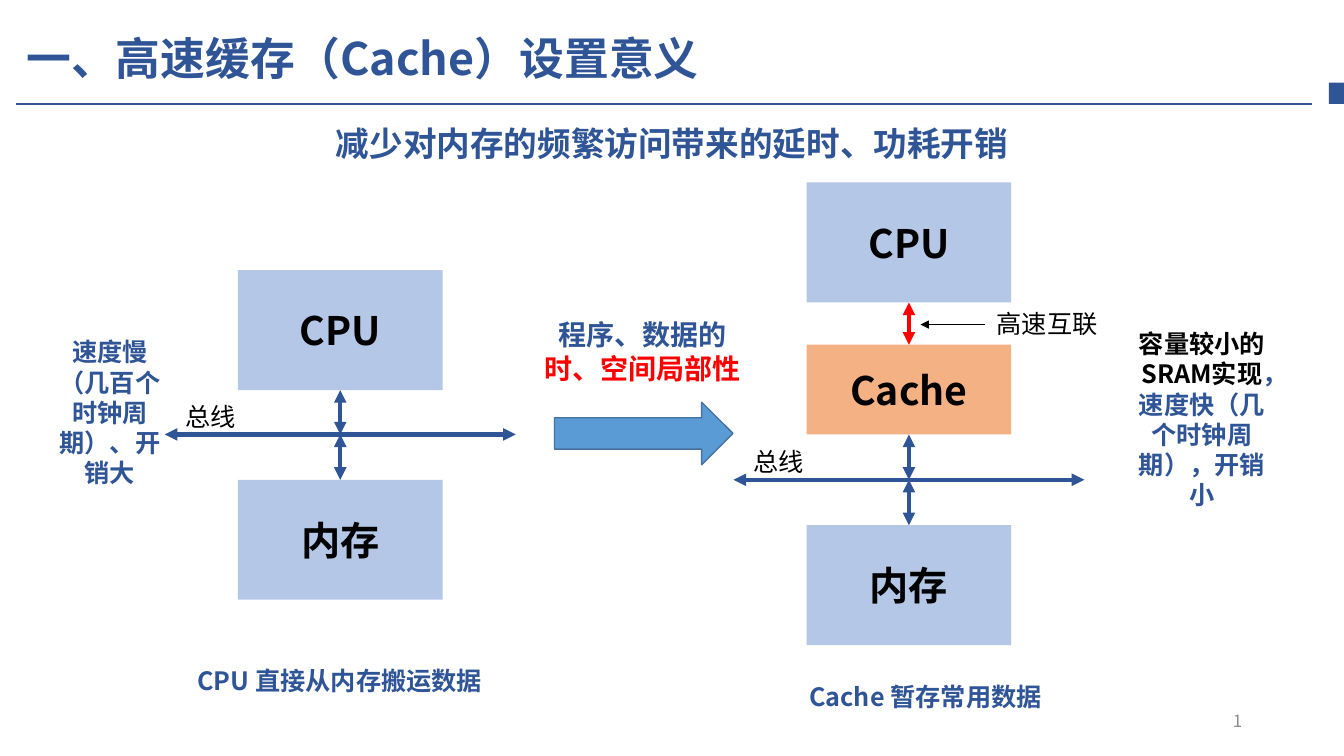
from lxml import etree
from pptx import Presentation
from pptx.dml.color import RGBColor
from pptx.enum.shapes import MSO_CONNECTOR, MSO_SHAPE
from pptx.enum.text import MSO_ANCHOR, MSO_AUTO_SIZE, PP_ALIGN
from pptx.oxml.ns import qn
from pptx.util import Inches, Pt

RECT, ARROW = MSO_SHAPE.RECTANGLE, MSO_SHAPE.RIGHT_ARROW
STRAIGHT = MSO_CONNECTOR.STRAIGHT
LEFT, CENTER, RIGHT = PP_ALIGN.LEFT, PP_ALIGN.CENTER, PP_ALIGN.RIGHT
TOP, MIDDLE = MSO_ANCHOR.TOP, MSO_ANCHOR.MIDDLE
NO_FIT = MSO_AUTO_SIZE.NONE
FONT = "Noto Sans CJK SC"
NAVY, PALE, ORANGE = "2F5597", "B4C7E7", "F4B183"
BLACK, RED, GRAY = "000000", "FF0000", "8C8C8C"
BOX_W, BOX_H = 2.03, 1.19


def paint(target, color):
    """Set a solid colour on a fill."""
    target.solid()
    target.fore_color.rgb = RGBColor.from_string(color)


def write(frame, paras, size, bold=True, align=CENTER, anchor=TOP):
    """Fill a text frame with paragraphs of (text, colour) runs."""
    frame.word_wrap = True
    frame.auto_size = NO_FIT
    frame.vertical_anchor = anchor
    for i, runs in enumerate(paras):
        para = frame.add_paragraph() if i else frame.paragraphs[0]
        para.alignment = align
        for text, color in runs:
            run = para.add_run()
            run.text = text
            font = run.font
            font.size, font.bold, font.name = Pt(size), bold, FONT
            paint(font.fill, color)
            etree.SubElement(font._element, qn("a:ea"), typeface=FONT)


def label(slide, at, paras, size=18, **style):
    """Add a text box."""
    box = slide.shapes.add_textbox(*map(Inches, at))
    write(box.text_frame, paras, size, **style)


def block(slide, at, color, text=None, kind=RECT, edge=None):
    """Add a filled shape with an optional caption and edge."""
    shape = slide.shapes.add_shape(kind, *map(Inches, at))
    shape.shadow.inherit = False
    paint(shape.fill, color)
    if edge:
        paint(shape.line.fill, edge)
        shape.line.width = Pt(1)
    else:
        shape.line.fill.background()
    if text:
        write(shape.text_frame, [[(text, BLACK)]], 28, anchor=MIDDLE)
    return shape


def link(slide, start, end, color=NAVY, width=3, heads=("head", "tail"),
         above=None, below=None):
    """Add a straight line, joined to the blocks above and below it."""
    line = slide.shapes.add_connector(STRAIGHT, *map(Inches, start + end))
    if above is not None:
        line.begin_connect(above, 2)
    if below is not None:
        line.end_connect(below, 0)
    paint(line.line.fill, color)
    line.line.width = Pt(width)
    for head in heads:
        etree.SubElement(line.line._get_or_add_ln(), qn(f"a:{head}End"),
                         type="triangle")
    etree.SubElement(line._element.spPr, qn("a:effectLst"))


def bus(slide, left, y, upper):
    """Add a bus with the memory below it, tied to the upper block."""
    mid = left + BOX_W / 2
    link(slide, (mid - 1.74, y), (mid + 1.74, y))
    memory = block(slide, (left, y + 0.45, BOX_W, BOX_H), PALE, "内存")
    link(slide, (mid, y - 0.45), (mid, y), above=upper)
    link(slide, (mid, y), (mid, y + 0.45), below=memory)
    label(slide, (mid - 1.88, y - 0.38, 1.18, 0.4), [[("总线", BLACK)]],
          bold=False)


def header(slide):
    """Add the title, its rule, the page mark and the subtitle."""
    title = slide.shapes.title
    title.left, title.top, title.width, title.height = map(
        Inches, (0.16, 0.25, 9.28, 0.64))
    write(title.text_frame, [[("一、高速缓存（Cache）设置意义", NAVY)]], 32,
          align=LEFT)
    link(slide, (0.16, 1.03), (13.01, 1.03), width=1.5, heads=())
    block(slide, (13.18, 0.82, 0.15, 0.21), NAVY)
    label(slide, (9.42, 6.95, 3, 0.4), [[("1", GRAY)]], 12, bold=False,
          align=RIGHT, anchor=MIDDLE)
    label(slide, (0.16, 1.17, 13.01, 0.5),
          [[("减少对内存的频繁访问带来的延时、功耗开销", NAVY)]], 24)


def direct(slide):
    """Draw the system without a cache."""
    cpu = block(slide, (2.36, 2.68, BOX_W, BOX_H), PALE, "CPU")
    bus(slide, 2.36, 4.31, cpu)
    label(slide, (0.4, 3.29, 1.38, 1.62),
          [[("速度慢（几百个时钟周期）、开销大", NAVY)]])
    label(slide, (1.8, 6.55, 3.14, 0.4), [[("CPU 直接从内存搬运数据", NAVY)]])


def cached(slide):
    """Draw the system with a cache."""
    cpu = block(slide, (8, 1.81, BOX_W, BOX_H), PALE, "CPU")
    cache = block(slide, (8, 3.42, BOX_W, 0.89), ORANGE, "Cache")
    link(slide, (9.02, 3), (9.02, 3.42), RED, above=cpu, below=cache)
    bus(slide, 8, 4.76, cache)
    label(slide, (9.65, 3.01, 1.47, 0.4), [[("高速互联", BLACK)]], bold=False)
    link(slide, (9.77, 3.22), (9.13, 3.22), BLACK, 0.5, ("tail",))
    label(slide, (11.12, 3.21, 1.6, 1.92),
          [[("容量较小的SRAM实现", BLACK),
            ("，速度快（几个时钟周期），开销小", NAVY)]])
    label(slide, (7.61, 6.71, 3.14, 0.4), [[("Cache 暂存常用数据", NAVY)]])


def main():
    """Build and save the slide."""
    deck = Presentation()
    deck.slide_width, deck.slide_height = Inches(13.33), Inches(7.5)
    slide = deck.slides.add_slide(deck.slide_layouts[5])
    header(slide)
    direct(slide)
    block(slide, (5.5, 3.99, 1.77, 0.62), "5B9BD5", kind=ARROW, edge="43739E")
    label(slide, (4.8, 3.1, 3.14, 0.77),
          [[("程序、数据的", NAVY)], [("时、空间局部性", RED)]], 20)
    cached(slide)
    deck.save("out.pptx")


if __name__ == "__main__":
    main()
